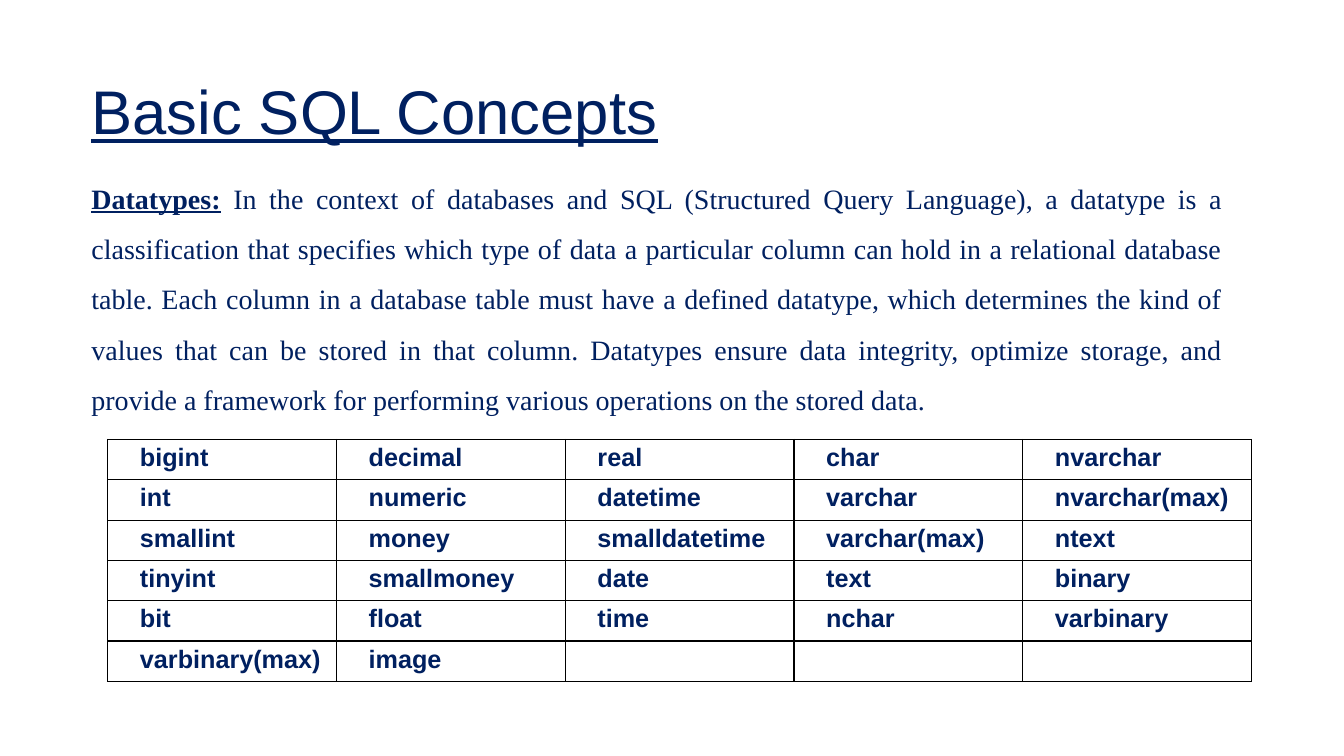
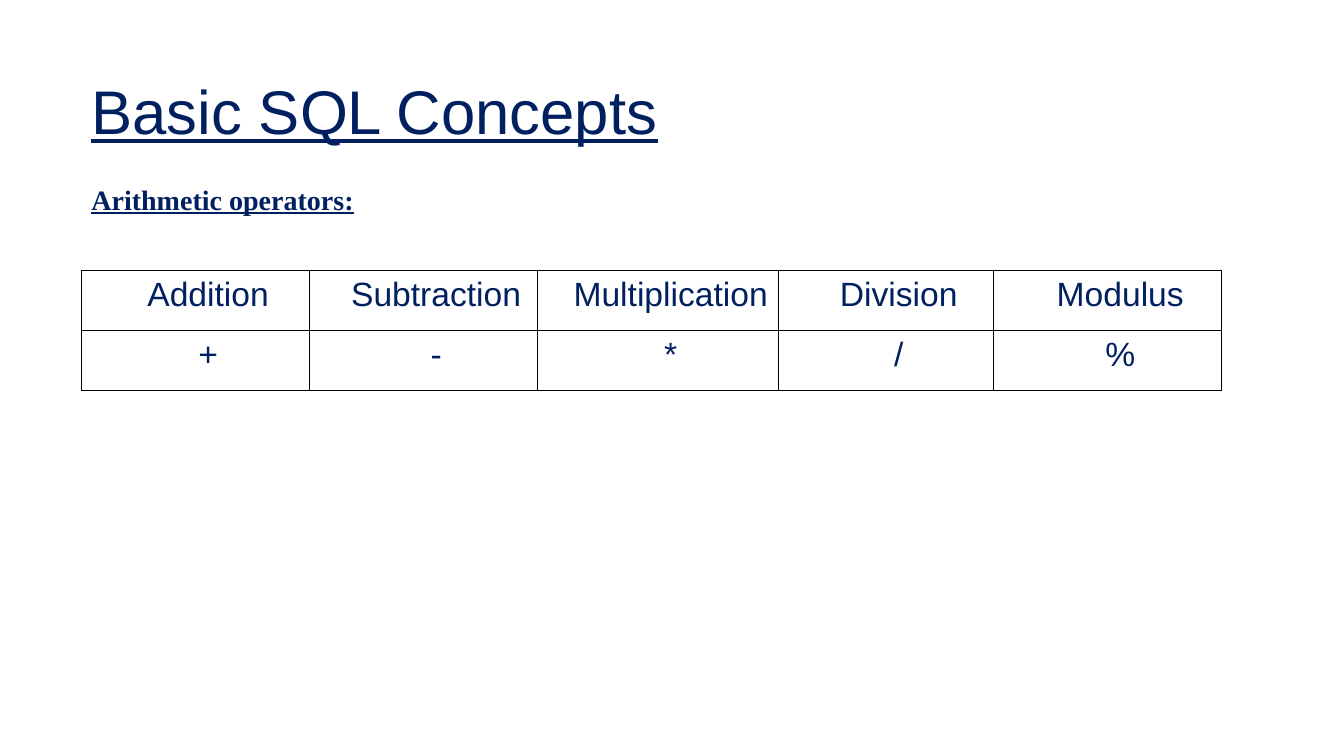
from lxml import etree
from pptx import Presentation
from pptx.dml.color import RGBColor
from pptx.enum import text
from pptx.oxml import ns
from pptx.util import Pt

ALIGN = text.PP_ALIGN
TITLE = "Basic SQL Concepts"

DATATYPES = (
    " In the context of databases and SQL (Structured Query Language), a datatype is a "
    "classification that specifies which type of data a particular column can hold in a "
    "relational database table. Each column in a database table must have a defined datatype, "
    "which determines the kind of values that can be stored in that column. Datatypes ensure "
    "data integrity, optimize storage, and provide a framework for performing various "
    "operations on the stored data."
)
TYPE_ROWS = [
    ["bigint", "decimal", "real", "char", "nvarchar"],
    ["int", "numeric", "datetime", "varchar", "nvarchar(max)"],
    ["smallint", "money", "smalldatetime", "varchar(max)", "ntext"],
    ["tinyint", "smallmoney", "date", "text", "binary"],
    ["bit", "float", "time", "nchar", "varbinary"],
    ["varbinary(max)", "image", "", "", ""],
]
OPERATOR_ROWS = [
    ["Addition", "Subtraction", "Multiplication", "Division", "Modulus"],
    ["+", "-", "*", "/", "%"],
]


def color(value):
    return RGBColor.from_string(value)


def assign(target, values):
    for name, value in values.items():
        setattr(target, name, value)


class Deck:
    NAVY = "002060"
    BORDER = "000000"
    HEADING = {"name": "Arial", "size": Pt(44), "underline": True}
    BODY = {"name": "Times New Roman", "size": Pt(20)}
    LEAD = {**BODY, "bold": True, "underline": True}
    CELL = {"name": "Arial"}
    LEFT = 58.2

    def __init__(self):
        self.prs = Presentation()
        assign(self.prs, {"slide_width": Pt(960), "slide_height": Pt(540)})
        self.slide = None

    def new_slide(self, title):
        self.slide = self.prs.slides.add_slide(self.prs.slide_layouts[6])
        heading = self.box(29.5, 828, 104.4, [(title, self.HEADING)], {"line_spacing": 0.9})
        heading.vertical_anchor = text.MSO_ANCHOR.MIDDLE

    def add_runs(self, paragraph, runs, layout):
        assign(paragraph, layout)
        for words, style in runs:
            run = paragraph.add_run()
            run.text = words
            assign(run.font, style)
            run.font.color.rgb = color(self.NAVY)

    def box(self, top, width, height, runs, layout):
        shape = self.slide.shapes.add_textbox(Pt(self.LEFT), Pt(top), Pt(width), Pt(height))
        frame = shape.text_frame
        frame.word_wrap = True
        self.add_runs(frame.paragraphs[0], runs, layout)
        return frame

    def body(self, top, height, runs):
        self.box(top, 822.2, height, runs, {"alignment": ALIGN.JUSTIFY, "line_spacing": 1.5})

    def table(self, left, top, widths, row_height, rows, align, style):
        frame = self.slide.shapes.add_table(
            len(rows), len(widths), Pt(left), Pt(top), Pt(sum(widths)), Pt(row_height * len(rows)))
        grid = frame.table
        assign(grid, {"first_row": False, "horz_banding": False})
        for column, width in zip(grid.columns, widths):
            column.width = Pt(width)
        for row, labels in zip(grid.rows, rows):
            row.height = Pt(row_height)
            for cell, label in zip(row.cells, labels):
                self.cell(cell, label, align, style)

    def cell(self, cell, label, align, style):
        assign(cell, {"margin_left": Pt(5), "margin_right": Pt(5),
                      "margin_top": 0, "margin_bottom": 0})
        self.borders(cell)
        cell.fill.background()
        if label:
            paragraph = cell.text_frame.paragraphs[0]
            # Hanging indent
            properties = paragraph._p.get_or_add_pPr()
            properties.set("marL", str(Pt(36)))
            properties.set("indent", str(Pt(-18)))
            layout = {"alignment": align, "line_spacing": 1.15, "space_after": Pt(0.2)}
            self.add_runs(paragraph, [(label, {**self.CELL, **style})], layout)

    def borders(self, cell):
        properties = cell._tc.get_or_add_tcPr()
        for side in ("lnL", "lnR", "lnT", "lnB"):
            line = etree.SubElement(properties, ns.qn("a:" + side), w=str(Pt(1)))
            fill = etree.SubElement(line, ns.qn("a:solidFill"))
            etree.SubElement(fill, ns.qn("a:srgbClr"), val=self.BORDER)


def main():
    deck = Deck()

    # Datatypes
    deck.new_slide(TITLE)
    deck.table(77, 313.9, [163.4] * 5, 28.8, TYPE_ROWS, ALIGN.JUSTIFY,
               {"size": Pt(18), "bold": True})
    deck.body(113.8, 189.4, [("Datatypes:", deck.LEAD), (DATATYPES, deck.BODY)])

    # Arithmetic operators
    deck.new_slide(TITLE)
    deck.body(114.5, 39.6, [("Arithmetic operators:", deck.LEAD)])
    deck.table(deck.LEFT, 193, [162.9, 162.9, 172.2, 153.6, 162.9], 42.9, OPERATOR_ROWS,
               ALIGN.CENTER, {"size": Pt(24)})

    deck.prs.save("out.pptx")


if __name__ == "__main__":
    main()
